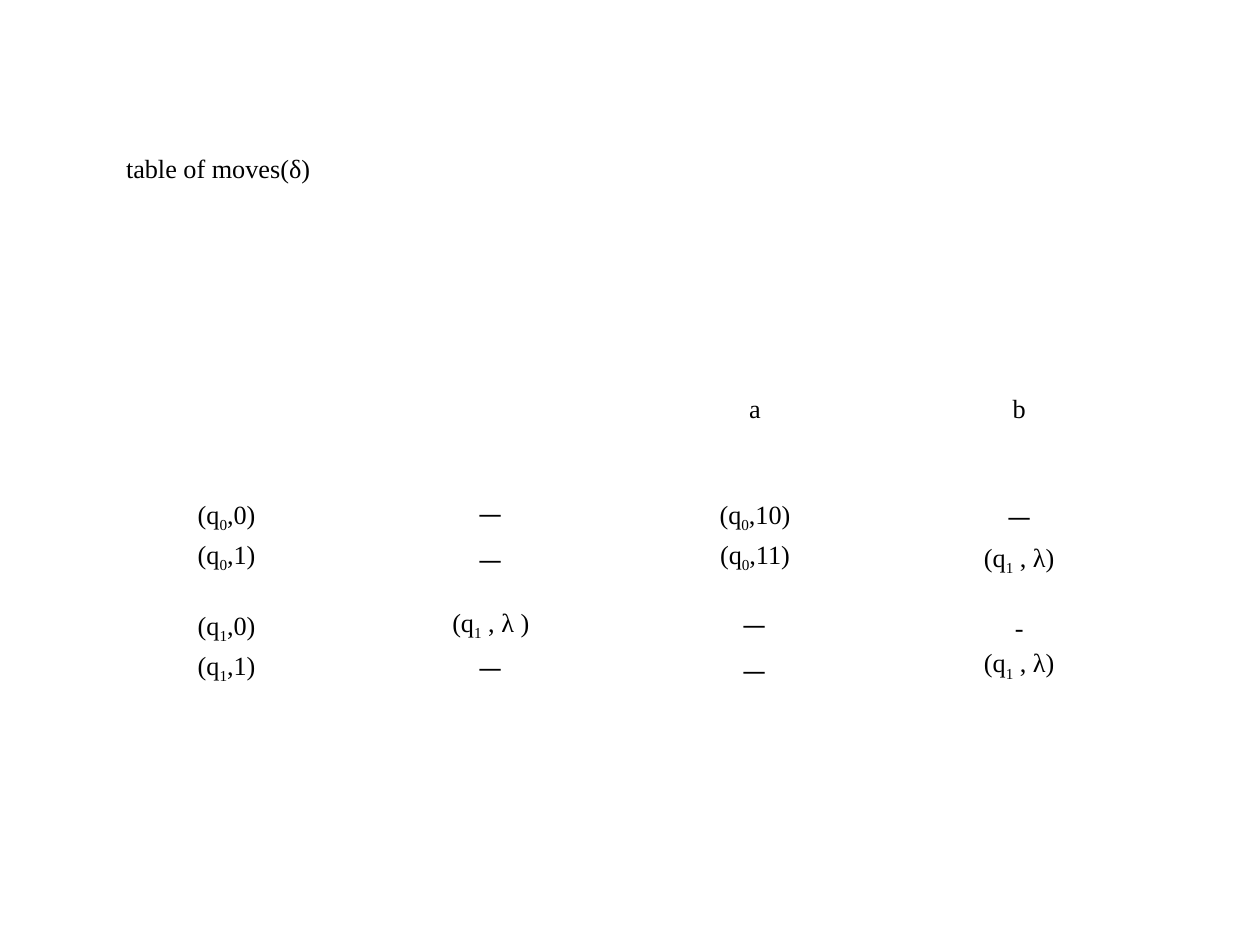
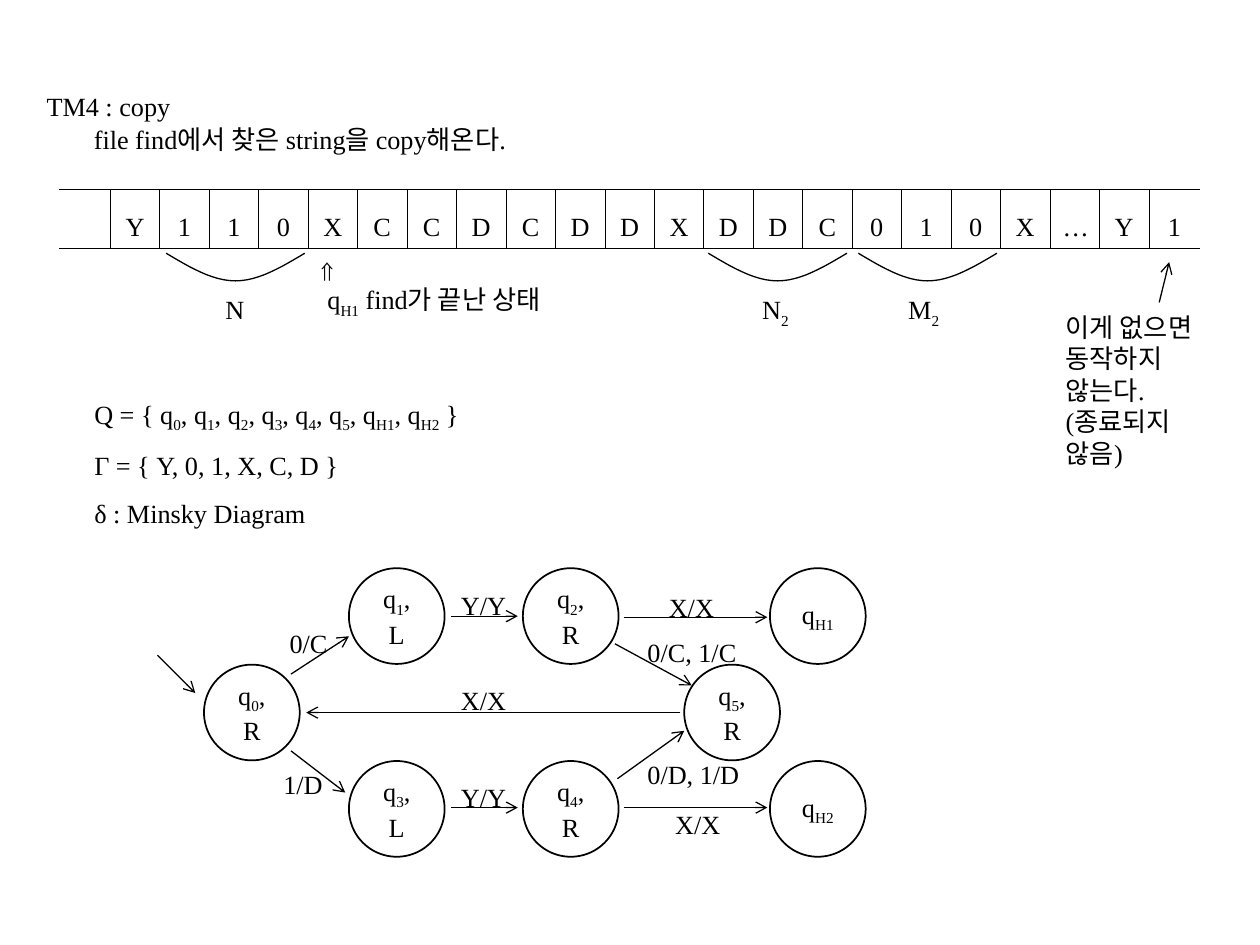
from dataclasses import dataclass
from lxml import etree
from pptx import Presentation
from pptx.dml.color import RGBColor
from pptx.enum.shapes import MSO_CONNECTOR, MSO_SHAPE
from pptx.enum.text import MSO_ANCHOR, MSO_AUTO_SIZE, PP_ALIGN
from pptx.oxml.ns import qn
from pptx.util import Pt

LEFT, CENTER, JUSTIFY = PP_ALIGN.LEFT, PP_ALIGN.CENTER, PP_ALIGN.JUSTIFY
TOP, MIDDLE = MSO_ANCHOR.TOP, MSO_ANCHOR.MIDDLE
FIT, FIXED = MSO_AUTO_SIZE.SHAPE_TO_FIT_TEXT, MSO_AUTO_SIZE.NONE
STRAIGHT, OVAL = MSO_CONNECTOR.STRAIGHT, MSO_SHAPE.OVAL
TITLE_ONLY = 5


@dataclass(frozen=True)
class Theme:
    ink: RGBColor = RGBColor(0, 0, 0)
    font: str = "Times New Roman"
    size: float = 15
    line: float = 0.75
    outline: float = 1
    rule: float = 0.28
    label_h: float = 25.2


THEME = Theme()

MOVES = [
    ["", "", "a", "b"],
    ["(q_0_,0)\n(q_0_,1)", "ㅡ\nㅡ", "(q_0_,10)\n(q_0_,11)", "ㅡ\n(q_1_ , λ)"],
    ["(q_1_,0)\n(q_1_,1)", "(q_1_ , λ )\nㅡ", "ㅡ\nㅡ", "-\n(q_1_ , λ)"],
]
TAPE = ["", *"Y110XCCDCDDXDDC010X…Y1"]
TAPE_LABELS = [
    ("N", 87.9, 56.2, 25.2), ("N_2_", 394.6, 56.2, 30.2),
    ("M_2_", 478.1, 56.2, 33.1), ("q_H1_ find가 끝난 상태", 146.2, 50.4, 144.7),
]
DEFINITIONS = ("Q = { q_0_, q_1_, q_2_, q_3_, q_4_, q_5_, q_H1_, q_H2_ }\n"
               "Г = { Y, 0, 1, X, C, D }\nδ : Minsky Diagram")

STATE_D, STATE_ROW = 54.7, 55.1
STATES = [
    ("q_5_, R", 301, 1), ("q_H1_", 350, 0), ("q_H2_", 350, 2),
    ("q_2_, R", 208.8, 0), ("q_4_, R", 208.8, 2), ("q_0_, R", 26.6, 1),
    ("q_1_, L", 109.4, 0), ("q_3_, L", 109.4, 2),
]
MOVES_ARROWS = [
    (262.8, 120.3, 301, 92.9), (0, 49.7, 21.6, 71.3),
    (76.3, 60.5, 109.4, 38.9), (76.3, 104.4, 107.3, 128.2),
    (167.8, 27.4, 205.9, 27.4), (167.8, 136.8, 205.9, 136.8),
    (266.4, 28, 348.5, 28), (266.4, 136.8, 348.5, 136.8),
    (261.4, 43.2, 305.3, 67), (298.8, 82.5, 85, 82.5),
]
MOVES_LABELS = [
    ("0/C", 68.4, 30.3, 36), ("1/D", 64.8, 110.9, 36.7),
    ("Y/Y", 166.3, 8.7, 40.3), ("0/C, 1/C", 272.9, 35.3, 65.5),
    ("X/X", 285.1, 9.4, 40.3), ("X/X", 166.3, 62.7, 40.3),
    ("Y/Y", 166.3, 118.1, 40.3), ("0/D, 1/D", 272.9, 105.1, 67),
    ("X/X", 288.7, 133.9, 40.3),
]


def put(obj, values):
    for name, value in values.items():
        setattr(obj, name, value)


def write(tf, text, **para):
    for i, line in enumerate(text.split("\n")):
        p = tf.paragraphs[0] if i == 0 else tf.add_paragraph()
        put(p, para)
        for j, part in enumerate(line.split("_")):
            if not part:
                continue
            r = p.add_run()
            r.text = part
            put(r.font, {"name": THEME.font, "size": Pt(THEME.size)})
            r.font.color.rgb = THEME.ink
            if j % 2:
                r.font._element.set("baseline", "-25000")


def set_title(s, x, y, w, h, text, anchor, **para):
    sp = s.shapes.title
    put(sp, {"left": Pt(x), "top": Pt(y), "width": Pt(w), "height": Pt(h)})
    put(sp.text_frame, {"auto_size": FIXED, "vertical_anchor": anchor, "word_wrap": True})
    write(sp.text_frame, text, **para)
    return sp.text_frame


def add_text(s, x, y, w, h, text, wrap=False, fit=FIT, **para):
    sp = s.shapes.add_textbox(Pt(x), Pt(y), Pt(w), Pt(h))
    put(sp.text_frame, {"word_wrap": wrap, "auto_size": fit})
    write(sp.text_frame, text, **para)
    return sp


def add_labels(s, x, y, labels):
    for text, dx, dy, w in labels:
        add_text(s, x + dx, y + dy, w, THEME.label_h, text)


def add_arrow(s, x1, y1, x2, y2):
    c = s.shapes.add_connector(STRAIGHT, Pt(x1), Pt(y1), Pt(x2), Pt(y2))
    c.line.color.rgb = THEME.ink
    c.line.width = Pt(THEME.line)
    etree.SubElement(c.line._get_or_add_ln(), qn("a:tailEnd"), type="arrow")
    etree.SubElement(c._element.spPr, qn("a:effectLst"))


def outline(sp, width):
    sp.shadow.inherit = False
    sp.fill.background()
    sp.line.color.rgb = THEME.ink
    sp.line.width = Pt(width)


def add_brace(s, x, y, w, h):
    half = [i / 12 for i in range(13)]
    curve = [((t / 2) * w, (1.5 * t * (1 - t) ** 2 + 3 * t * t * (1 - t) + t ** 3) * h)
             for t in half]
    curve += [(w - px, py) for px, py in curve[-2::-1]]
    points = [(Pt(x + px), Pt(y + py)) for px, py in curve]
    fb = s.shapes.build_freeform(*points[0])
    fb.add_line_segments(points[1:], close=False)
    outline(fb.convert_to_shape(), THEME.line)


def set_borders(cell, sides):
    tcPr = cell._tc.get_or_add_tcPr()
    for i, side in enumerate("LRTB"):
        ln = etree.Element(qn("a:ln" + side), w=str(Pt(THEME.rule)))
        if side in sides:
            fill = etree.SubElement(ln, qn("a:solidFill"))
            etree.SubElement(fill, qn("a:srgbClr"), val=str(THEME.ink))
        else:
            etree.SubElement(ln, qn("a:noFill"))
        tcPr.insert(i, ln)


def add_grid(s, x, y, widths, heights, rows, spacing, sides_of):
    frame = s.shapes.add_table(len(rows), len(widths), Pt(x), Pt(y),
                               Pt(sum(widths)), Pt(sum(heights)))
    table = frame.table
    put(table, {"first_row": False, "horz_banding": False})
    for column, w in zip(table.columns, widths):
        column.width = Pt(w)
    for i, (row, h) in enumerate(zip(rows, heights)):
        table.rows[i].height = Pt(h)
        for j, text in enumerate(row):
            cell = table.cell(i, j)
            cell.fill.background()
            cell.vertical_anchor = MIDDLE
            set_borders(cell, sides_of(j))
            if text:
                write(cell.text_frame, text, alignment=CENTER, line_spacing=spacing)


def add_tape(s, x, y):
    last = len(TAPE) - 1
    widths = [29.2] + [28.28] * (last - 1) + [29.2]

    def sides_of(j):
        return {0: "RTB", last: "LTB"}.get(j, "LRTB")

    add_grid(s, x, y, widths, [28], [TAPE], 1.6, sides_of)
    for brace_x in (61.2, 371, 456.7):
        add_brace(s, x + brace_x, y + 36.7, 79.2, 15.8)
    add_labels(s, x, y, TAPE_LABELS)
    head = add_text(s, x + 139, y + 37.4, 32.4, 22.3, "⇒")
    head.rotation = 180
    head.text_frame._txBody.bodyPr.set("vert", "eaVert")
    add_arrow(s, x + 628.6, y + 64.8, x + 634.3, y + 41.8)
    add_text(s, x + 568.1, y + 66.2, 95.8, 79.2,
             "이게 없으면 동작하지 않는다. (종료되지 않음)", wrap=True)


def add_diagram(s, x, y):
    for text, dx, row in STATES:
        sp = s.shapes.add_shape(OVAL, Pt(x + dx), Pt(y + row * STATE_ROW),
                                Pt(STATE_D), Pt(STATE_D))
        outline(sp, THEME.outline)
        put(sp.text_frame, {"word_wrap": True, "vertical_anchor": MIDDLE})
        write(sp.text_frame, text, alignment=CENTER)
    for x1, y1, x2, y2 in MOVES_ARROWS:
        add_arrow(s, x + x1, y + y1, x + x2, y + y2)
    add_labels(s, x, y, MOVES_LABELS)


def moves_slide(prs):
    s = prs.slides.add_slide(prs.slide_layouts[TITLE_ONLY])
    add_grid(s, 54, 190.8, [151] * 4, [82.8, 63.4, 63.4], MOVES, 1.2, lambda j: "")
    set_title(s, 64.8, 83.5, 465, 25.2, "table of moves(δ)", MIDDLE, alignment=JUSTIFY)


def copy_slide(prs):
    s = prs.slides.add_slide(prs.slide_layouts[TITLE_ONLY])
    tf = set_title(s, 19.4, 49.9, 324, 48.2,
                   "TM4 : copy\nfile find에서 찾은 string을 copy해온다.",
                   TOP, alignment=LEFT, line_spacing=0.9)
    detail = tf.paragraphs[1]
    detail.space_before = Pt(3)
    detail._p.get_or_add_pPr().set("marL", str(Pt(27)))
    add_tape(s, 33.8, 108)
    add_diagram(s, 90, 324.7)
    add_text(s, 46.8, 213.8, 244.8, 95.8, DEFINITIONS, wrap=True, fit=FIXED, line_spacing=1.5)


def main():
    prs = Presentation()
    put(prs, {"slide_width": Pt(720), "slide_height": Pt(540)})
    moves_slide(prs)
    copy_slide(prs)
    prs.save("out.pptx")


if __name__ == "__main__":
    main()
